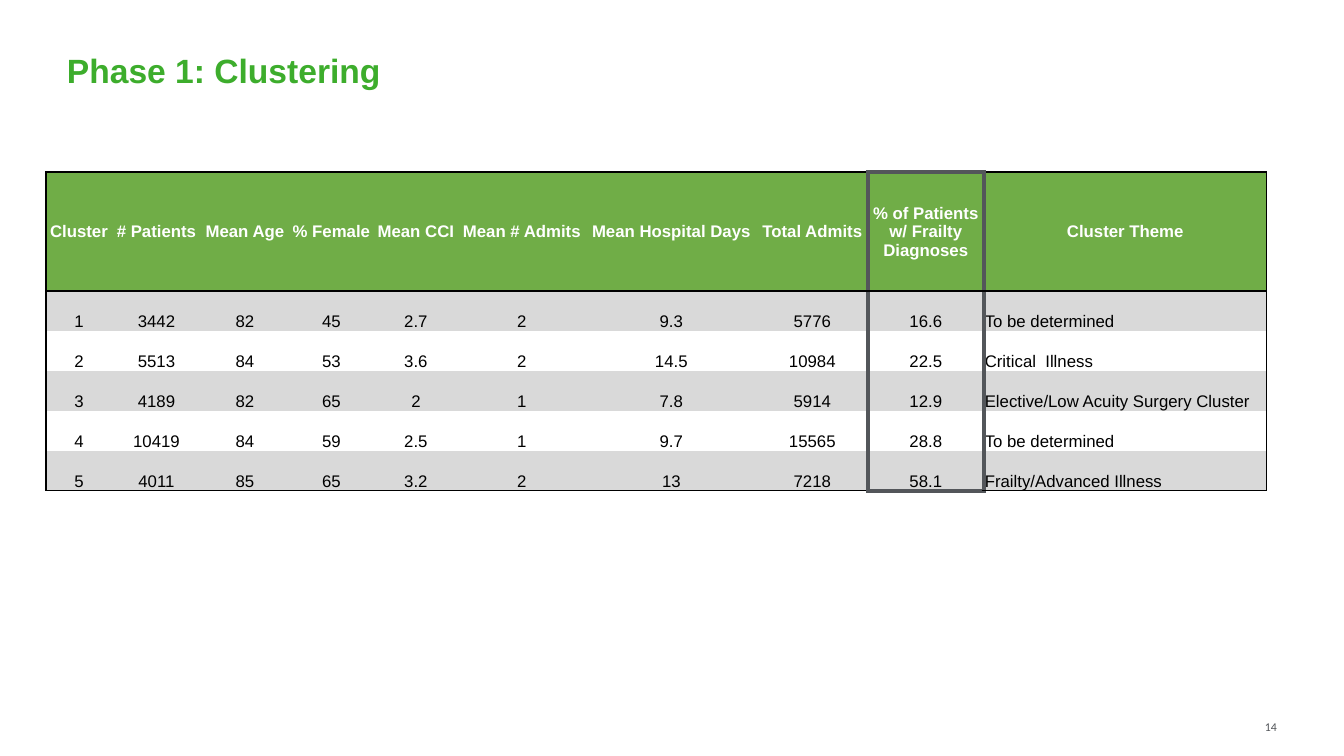
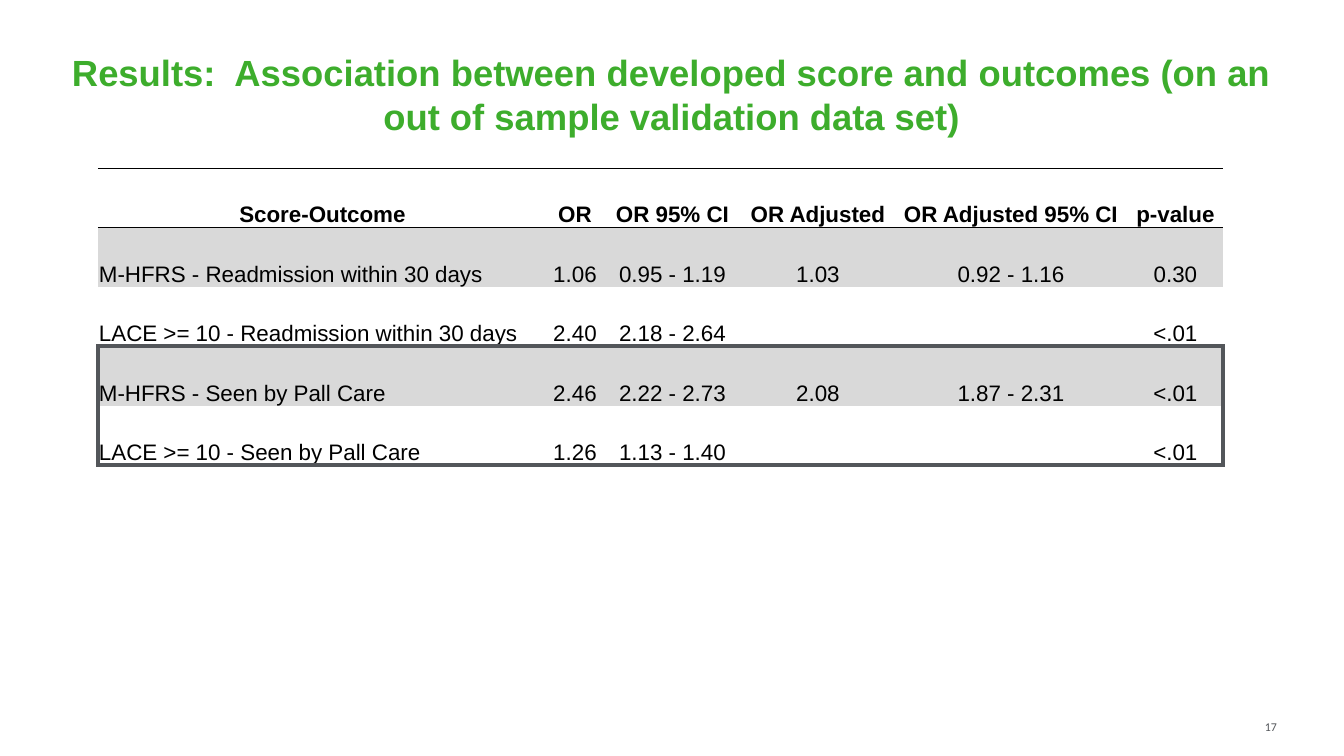
"""Build the clustering and score-outcome result slides."""
from dataclasses import dataclass
from typing import NamedTuple, Optional

from lxml.etree import SubElement
from pptx import Presentation
from pptx.dml.color import RGBColor
from pptx.enum.text import MSO_ANCHOR as Anchor, PP_ALIGN as Align
from pptx.oxml.ns import qn
from pptx.slide import Slide
from pptx.table import _Cell as Cell
from pptx.text.text import TextFrame
from pptx.util import Emu, Pt

EMU_PER_PX = 914400 / 100.8
COLORS = {
    "title": "3DAD2C",
    "header": "70AD47",
    "band": "D9D9D9",
    "highlight": "53565A",
    "black": "000000",
    "white": "FFFFFF",
}
SIDES = {"l": "a:lnL", "r": "a:lnR", "t": "a:lnT", "b": "a:lnB"}


class Box(NamedTuple):
    left: int
    top: int
    width: int
    height: int


class Style(NamedTuple):
    size: float
    color: str
    bold: bool = False
    font: str = "Arial"


class Frame(NamedTuple):
    first_row: int
    first_col: int
    last_row: int
    last_col: int
    color: str
    width: float
    sides: str = "lrtb"


@dataclass
class Grid:
    left: int
    top: int
    col_widths: list[int]
    row_heights: list[int]
    rows: list[list[str]]
    text_col: int
    header: Style
    body: Style
    header_fill: Optional[str]
    header_anchor: Anchor
    frames: list[Frame]


@dataclass
class Page:
    title: str
    title_size: int
    title_align: Align
    number: int
    grid: Grid


TITLE_BOX = Box(67, 50, 1210, 88)
NUMBER_BOX = Box(1168, 703, 109, 31)
NUMBER_STYLE = Style(8.5, "highlight", font="Calibri")

CLUSTERS = Grid(
    left=46,
    top=172,
    col_widths=[66, 89, 88, 85, 84, 128, 171, 111, 116, 283],
    row_heights=[119] + [40] * 5,
    rows=[
        ["Cluster", "# Patients", "Mean Age", "% Female", "Mean CCI", "Mean # Admits",
         "Mean Hospital Days", "Total Admits", "% of Patients w/ Frailty Diagnoses",
         "Cluster Theme"],
        ["1", "3442", "82", "45", "2.7", "2", "9.3", "5776", "16.6", "To be determined"],
        ["2", "5513", "84", "53", "3.6", "2", "14.5", "10984", "22.5", "Critical  Illness"],
        ["3", "4189", "82", "65", "2", "1", "7.8", "5914", "12.9",
         "Elective/Low Acuity Surgery Cluster"],
        ["4", "10419", "84", "59", "2.5", "1", "9.7", "15565", "28.8", "To be determined"],
        ["5", "4011", "85", "65", "3.2", "2", "13", "7218", "58.1",
         "Frailty/Advanced Illness"],
    ],
    text_col=9,
    header=Style(12, "white", bold=True),
    body=Style(12, "black"),
    header_fill="header",
    header_anchor=Anchor.MIDDLE,
    frames=[
        Frame(0, 0, 5, 9, "black", 1),
        Frame(0, 0, 0, 9, "black", 1),
        Frame(0, 8, 5, 8, "highlight", 3),
    ],
)

OUTCOMES = Grid(
    left=98,
    top=168,
    col_widths=[449, 56, 139, 152, 234, 95],
    row_heights=[59, 60, 59, 60, 59],
    rows=[
        ["Score-Outcome", "OR", "OR 95% CI", "OR Adjusted", "OR Adjusted 95% CI", "p-value"],
        ["M-HFRS - Readmission within 30 days", "1.06", "0.95 - 1.19", "1.03",
         "0.92 - 1.16", "0.30"],
        ["LACE >= 10 - Readmission within 30 days", "2.40", "2.18 - 2.64", "", "", "<.01"],
        ["M-HFRS - Seen by Pall Care", "2.46", "2.22 - 2.73", "2.08", "1.87 - 2.31", "<.01"],
        ["LACE >= 10 - Seen by Pall Care", "1.26", "1.13 - 1.40", "", "", "<.01"],
    ],
    text_col=0,
    header=Style(16, "black", bold=True),
    body=Style(16, "black"),
    header_fill=None,
    header_anchor=Anchor.BOTTOM,
    frames=[
        Frame(0, 0, 0, 5, "black", 0.5, "tb"),
        Frame(3, 0, 4, 5, "highlight", 3),
    ],
)

PAGES = [
    Page("Phase 1: Clustering", 24, Align.LEFT, 14, CLUSTERS),
    Page("Results:  Association between developed score and outcomes "
         "(on an out of sample validation data set)", 26, Align.CENTER, 17, OUTCOMES),
]


def px(length: int) -> Emu:
    """Turn pixels into EMU."""
    return Emu(round(length * EMU_PER_PX))


def write(frame: TextFrame, text: str, style: Style, align: Align) -> None:
    """Fill a text frame with one styled paragraph."""
    frame.text = text
    paragraph = frame.paragraphs[0]
    paragraph.alignment = align
    for run in paragraph.runs:
        run.font.name = style.font
        run.font.size = Pt(style.size)
        run.font.bold = style.bold
        run.font.color.rgb = RGBColor.from_string(COLORS[style.color])


def add_label(slide: Slide, box: Box, text: str, style: Style,
              align: Align, anchor: Anchor) -> None:
    """Add a text box without insets."""
    frame = slide.shapes.add_textbox(*map(px, box)).text_frame
    frame.word_wrap = True
    frame.vertical_anchor = anchor
    frame.margin_left = frame.margin_right = frame.margin_top = frame.margin_bottom = 0
    write(frame, text, style, align)


def find_edges(frames: list[Frame]) -> dict[tuple[int, int, str], Frame]:
    """Map each cell side, on both sides of a shared edge, to its frame."""
    edges = {}
    for frame in frames:
        for row in range(frame.first_row, frame.last_row + 1):
            for col, side, beside, opposite in (
                (frame.first_col, "l", frame.first_col - 1, "r"),
                (frame.last_col, "r", frame.last_col + 1, "l"),
            ):
                if side in frame.sides:
                    edges[row, col, side] = edges[row, beside, opposite] = frame
        for col in range(frame.first_col, frame.last_col + 1):
            for row, side, beside, opposite in (
                (frame.first_row, "t", frame.first_row - 1, "b"),
                (frame.last_row, "b", frame.last_row + 1, "t"),
            ):
                if side in frame.sides:
                    edges[row, col, side] = edges[beside, col, opposite] = frame
    return edges


def set_borders(cell: Cell, borders: dict[str, Optional[Frame]]) -> None:
    """Draw the given cell sides and clear the others."""
    properties = cell._tc.get_or_add_tcPr()
    for position, (side, tag) in enumerate(SIDES.items()):
        line = SubElement(properties, qn(tag))
        properties.insert(position, line)
        border = borders[side]
        if border is None:
            SubElement(line, qn("a:noFill"))
        else:
            line.set("w", str(Pt(border.width)))
            fill = SubElement(line, qn("a:solidFill"))
            SubElement(fill, qn("a:srgbClr")).set("val", COLORS[border.color])


def fill_cell(cell: Cell, color: Optional[str]) -> None:
    """Give a cell a solid fill or none."""
    if color is None:
        cell.fill.background()
    else:
        cell.fill.solid()
        cell.fill.fore_color.rgb = RGBColor.from_string(COLORS[color])


def add_grid(slide: Slide, grid: Grid) -> None:
    """Add a banded table with framed cell ranges."""
    box = Box(grid.left, grid.top, sum(grid.col_widths), sum(grid.row_heights))
    table = slide.shapes.add_table(
        len(grid.rows), len(grid.col_widths), *map(px, box)).table
    table.first_row = table.horz_banding = False
    for column, width in zip(table.columns, grid.col_widths):
        column.width = px(width)
    for table_row, height in zip(table.rows, grid.row_heights):
        table_row.height = px(height)
    edges = find_edges(grid.frames)
    for row, values in enumerate(grid.rows):
        is_header = row == 0
        band = "band" if row % 2 else None
        for col, value in enumerate(values):
            cell = table.cell(row, col)
            cell.margin_left = cell.margin_right = cell.margin_top = px(1)
            cell.margin_bottom = 0
            cell.vertical_anchor = grid.header_anchor if is_header else Anchor.BOTTOM
            is_text = col == grid.text_col and not is_header
            write(cell.text_frame, value, grid.header if is_header else grid.body,
                  Align.LEFT if is_text else Align.CENTER)
            fill_cell(cell, grid.header_fill if is_header else band)
            set_borders(cell, {side: edges.get((row, col, side)) for side in SIDES})


def main() -> None:
    """Build and save the presentation."""
    deck = Presentation()
    deck.slide_width, deck.slide_height = px(1344), px(756)
    for page in PAGES:
        slide = deck.slides.add_slide(deck.slide_layouts[6])
        add_label(slide, TITLE_BOX, page.title, Style(page.title_size, "title", bold=True),
                  page.title_align, Anchor.TOP)
        add_grid(slide, page.grid)
        add_label(slide, NUMBER_BOX, str(page.number), NUMBER_STYLE,
                  Align.RIGHT, Anchor.BOTTOM)
    deck.save("out.pptx")


main()
